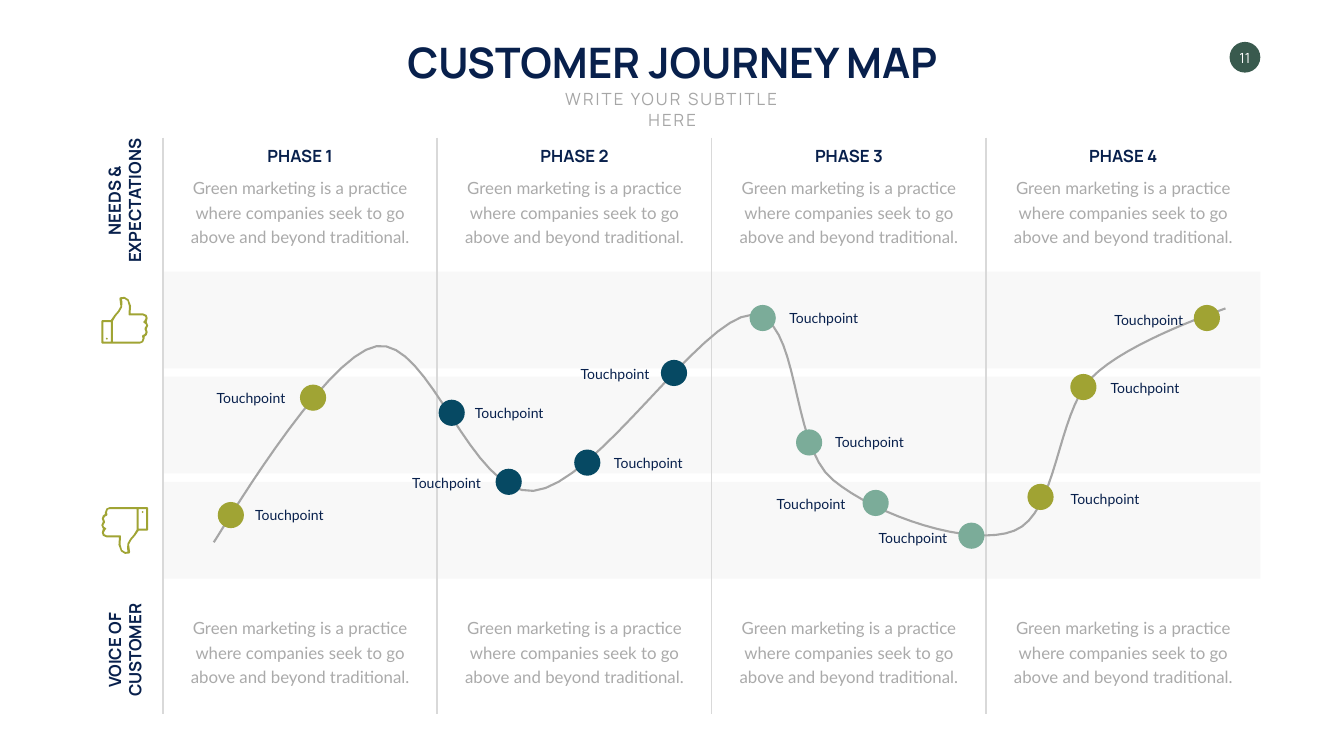
"""Build the customer journey map slide."""
from lxml.etree import SubElement
from pptx import Presentation
from pptx.dml.color import RGBColor
from pptx.enum.shapes import MSO_CONNECTOR as Connector, MSO_SHAPE as Shape
from pptx.enum.text import MSO_ANCHOR as Anchor, MSO_AUTO_SIZE as AutoSize, PP_ALIGN as Align
from pptx.oxml.ns import qn
from pptx.util import Pt

COLOURS = {
    "badge": "395A4E", "white": "FFFFFF", "band": "F2F2F2", "divider": "D9D9D9",
    "ink": "08204C", "subtitle": "A6A6A6", "body": "AAAAAA", "curve": "A6A6A6",
    "thumb": "A0A434", "olive": "A0A434", "moss": "A0A333", "navy": "064963", "sage": "7BAC99",
}
FORMATS = {
    "number": ({"name": "Manrope", "size": Pt(20)}, "white"),
    "title": ({"name": "Manrope", "size": Pt(60), "bold": True}, "ink"),
    "subtitle": ({"name": "Manrope", "size": Pt(24)}, "subtitle"),
    "heading": ({"name": "Manrope", "size": Pt(24), "bold": True}, "ink"),
    "body": ({"name": "Lato", "size": Pt(24)}, "body"),
    "label": ({"name": "Lato", "size": Pt(20)}, "ink"),
}
GRID_LEFT, GRID_TOP, GRID_BOTTOM = 232.6, 196.6, 1020.2
COLUMN_WIDTH, PHASES = 391.9, 4
BAND_TOP, BAND_HEIGHT, BAND_PITCH = 388.1, 138.2, 150.1
DOT_SIZE = 37.4
BODY_TEXT = "Green marketing is a practice where companies seek to go above and beyond traditional."

JOURNEY_START = (305.3, 774.7)
JOURNEY_CURVES = [
    ((306, 776.2), (462.2, 506.9), (537.8, 494.6)),
    ((614.2, 482.4), (672.5, 708.5), (761.8, 701.3)),
    ((851, 693.4), (1001.5, 452.9), (1072.8, 450)),
    ((1144.1, 447.8), (1126.8, 634.3), (1189.4, 685.4)),
    ((1252.1, 737.3), (1387.4, 782.6), (1448.6, 758.2)),
    ((1510.6, 733.7), (1508.4, 593.3), (1558.8, 540)),
    ((1609.2, 487.4), (1751.8, 440.6), (1750.3, 440.6)),
]
THUMB_UNIT = 0.72
THUMB = [
    [(11, 81), (13, 83), (11, 85), (9, 83)],
    [(4, 50), (4, 89), (19, 89), (19, 50)],
    [(41, 4), (42, 12), (41, 21), (36, 30), (29, 38), (23, 48), (23, 89), (76, 89), (80, 88),
     (82, 82), (81, 79), (81, 77), (82, 76), (86, 74), (88, 70), (86, 65), (86, 62), (89, 57),
     (88, 54), (85, 52), (83, 50), (85, 48), (88, 42), (87, 39), (83, 37), (56, 37), (54, 36),
     (54, 34), (55, 19), (52, 8), (46, 4)],
    [(46, 0), (54, 5), (59, 18), (58, 33), (83, 33), (90, 36), (92, 42), (90, 50), (93, 57),
     (90, 64), (92, 70), (90, 76), (86, 79), (86, 82), (83, 90), (76, 93), (2, 93), (0, 91),
     (0, 48), (2, 46), (19, 46), (26, 36), (33, 28), (38, 19), (36, 4), (37, 1)],
]
TOUCHPOINTS = [
    (311, 717.1, 357.1, 720, Align.LEFT, "olive"),
    (428.4, 549.4, 300.2, 552.2, Align.RIGHT, "olive"),
    (626.4, 571, 671, 573.8, Align.LEFT, "navy"),
    (707.8, 669.6, 579.6, 673.9, Align.RIGHT, "navy"),
    (820.1, 642.2, 869.8, 645.1, Align.LEFT, "navy"),
    (943.9, 514.1, 820.1, 518.4, Align.RIGHT, "navy"),
    (1070.6, 435.6, 1120.3, 438.5, Align.LEFT, "sage"),
    (1136.9, 613.4, 1185.8, 614.9, Align.LEFT, "sage"),
    (1231.9, 699.8, 1100.2, 703.4, Align.RIGHT, "sage"),
    (1368.7, 746.6, 1245.6, 752.4, Align.RIGHT, "sage"),
    (1467.4, 691.2, 1522.1, 697, Align.LEFT, "moss"),
    (1528.6, 534.2, 1579, 538.6, Align.LEFT, "moss"),
    (1705, 435.6, 1582.6, 440.6, Align.RIGHT, "moss"),
]


def apply(target, values):
    for name, value in values.items():
        setattr(target, name, value)


def trace(start, curves, steps=16):
    points = [start]
    for first, second, end in curves:
        corners = (points[-1], first, second, end)
        for step in range(1, steps + 1):
            t = step / steps
            weights = ((1 - t) ** 3, 3 * t * (1 - t) ** 2, 3 * t * t * (1 - t), t ** 3)
            points.append(tuple(sum(w * c[axis] for w, c in zip(weights, corners))
                                for axis in (0, 1)))
    return points


class SlideBuilder:
    def __init__(self, slide):
        self.slide = slide

    def colour(self, name):
        return RGBColor.from_string(COLOURS[name])

    def paint(self, shape, fill=None, line=None, width=0):
        shape.shadow.inherit = False
        for form, name in ((shape.fill, fill), (shape.line.fill, line)):
            if name:
                form.solid()
                form.fore_color.rgb = self.colour(name)
            else:
                form.background()
        if line:
            shape.line.width = Pt(width)

    def shape(self, kind, left, top, width, height, fill, opacity=100):
        shape = self.slide.shapes.add_shape(kind, Pt(left), Pt(top), Pt(width), Pt(height))
        self.paint(shape, fill)
        if opacity < 100:
            colour = shape.fill._xPr.find(qn("a:solidFill"))[0]
            SubElement(colour, qn("a:alpha")).set("val", str(opacity * 1000))

    def divider(self, x, top, bottom):
        line = self.slide.shapes.add_connector(Connector.STRAIGHT, Pt(x), Pt(top), Pt(x), Pt(bottom))
        line.line.width = Pt(2.25)
        line.line.color.rgb = self.colour("divider")
        SubElement(line._element.spPr, qn("a:effectLst"))

    def outline(self, contours, left=0, top=0, unit=1, closed=True, rotation=0, **paint):
        scaled = [[(Pt(x * unit), Pt(y * unit)) for x, y in contour] for contour in contours]
        builder = self.slide.shapes.build_freeform(*scaled[0][0])
        for index, contour in enumerate(scaled):
            if index:
                builder.move_to(*contour[0])
            builder.add_line_segments(contour[1:], close=closed)
        shape = builder.convert_to_shape(Pt(left), Pt(top))
        shape.rotation = rotation
        self.paint(shape, **paint)

    def text(self, lines, style, left, top, width, height, align=Align.CENTER,
             anchor=Anchor.TOP, wrap=False, rotation=0, spacing=None, tracking=0, margin=None):
        box = self.slide.shapes.add_textbox(Pt(left), Pt(top), Pt(width), Pt(height))
        box.rotation = rotation
        frame = box.text_frame
        apply(frame, {"word_wrap": wrap, "auto_size": AutoSize.SHAPE_TO_FIT_TEXT,
                      "vertical_anchor": anchor})
        if margin is not None:
            apply(frame, {f"margin_{side}": Pt(margin)
                          for side in ("left", "top", "right", "bottom")})
        values, colour = FORMATS[style]
        for index, line in enumerate(lines):
            paragraph = frame.add_paragraph() if index else frame.paragraphs[0]
            apply(paragraph, {"alignment": align, "line_spacing": spacing})
            run = paragraph.add_run()
            run.text = line
            apply(run.font, values)
            run.font.color.rgb = self.colour(colour)
            if tracking:
                run._r.get_or_add_rPr().set("spc", str(tracking * 100))


def main():
    presentation = Presentation()
    apply(presentation, {"slide_width": Pt(1919.52), "slide_height": Pt(1080)})
    builder = SlideBuilder(presentation.slides.add_slide(presentation.slide_layouts[6]))

    builder.shape(Shape.OVAL, 1756.1, 59.8, 43.9, 43.9, "badge")
    builder.text(["11"], "number", 1763.3, 69.8, 29.5, 24.5, anchor=Anchor.MIDDLE, margin=0)

    for band in range(3):
        builder.shape(Shape.RECTANGLE, GRID_LEFT, BAND_TOP + band * BAND_PITCH,
                      PHASES * COLUMN_WIDTH, BAND_HEIGHT, "band", opacity=50)
    columns = [GRID_LEFT + phase * COLUMN_WIDTH for phase in range(PHASES)]
    for column in columns:
        builder.divider(column, GRID_TOP, GRID_BOTTOM)

    builder.text(["CUSTOMER JOURNEY MAP"], "title", 560.2, 48.2, 799.9, 79.9)
    builder.text(["WRITE YOUR SUBTITLE HERE"], "subtitle", 764.6, 123.8, 391, 36,
                 wrap=True, tracking=3)
    for top, rotation in ((424.1, 0), (724.3, 180)):
        builder.outline(THUMB, 144.7, top, THUMB_UNIT, rotation=rotation, fill="thumb")
    builder.text(["NEEDS &", "EXPECTATIONS"], "heading", 79.2, 254.2, 197.3, 65.5, rotation=270)
    builder.text(["VOICE OF", "CUSTOMER"], "heading", 103.7, 896.4, 149, 65.5, rotation=270)

    for number, column in enumerate(columns, 1):
        builder.text([f"PHASE {number}"], "heading", column + 140, 205.2, 112, 36)
        for top, anchor in ((244.1, Anchor.TOP), (874.1, Anchor.MIDDLE)):
            builder.text([BODY_TEXT], "body", column + 21.3, top, 349.2, 109.4,
                         anchor=anchor, wrap=True, spacing=Pt(35))

    builder.outline([trace(JOURNEY_START, JOURNEY_CURVES)], closed=False, line="curve", width=3)
    for dot_left, dot_top, label_left, label_top, align, colour in TOUCHPOINTS:
        builder.shape(Shape.OVAL, dot_left, dot_top, DOT_SIZE, DOT_SIZE, colour)
        builder.text(["Touchpoint"], "label", label_left, label_top, 114.5, 31.7,
                     align=align, anchor=Anchor.MIDDLE)
    presentation.save("out.pptx")


if __name__ == "__main__":
    main()
